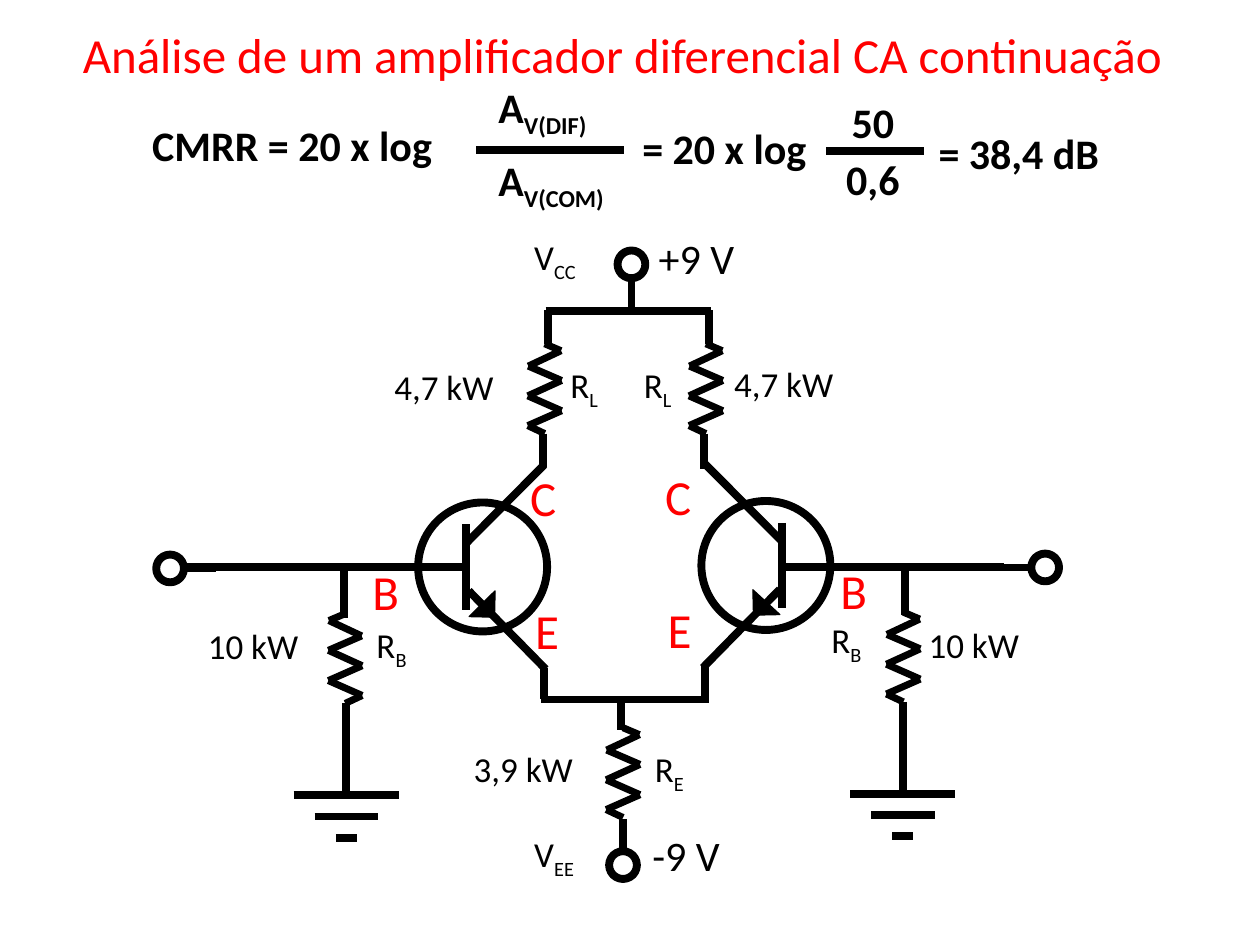
from itertools import pairwise

from lxml import etree
from pptx import Presentation
from pptx.dml.color import RGBColor
from pptx.enum.shapes import MSO_CONNECTOR, MSO_SHAPE
from pptx.enum.text import MSO_AUTO_SIZE
from pptx.oxml.ns import qn
from pptx.util import Cm, Pt

LINE = MSO_CONNECTOR.STRAIGHT
CIRCLE = MSO_SHAPE.OVAL
TRIANGLE = MSO_SHAPE.RIGHT_TRIANGLE
FIT = MSO_AUTO_SIZE.SHAPE_TO_FIT_TEXT

BLACK, RED = "000000", "FF0000"
FONT = "Calibri"
WIRE, COIL = 4.5, 4
SLACK = 0.08
ZIGZAG = [(0, 0), (0.33, 0.14), (-0.33, 0.45), (0.34, 0.74),
          (-0.34, 1.05), (0.34, 1.35), (-0.34, 1.65), (0, 1.81)]

WIRES = [
    (11, 6.27, 14.33, 6.27), (11.05, 6.25, 11.05, 6.93), (14.3, 6.25, 14.3, 6.93),
    (10.95, 8.74, 10.95, 9.42), (14.2, 8.74, 14.2, 9.45),
    (9.35, 11.43, 3.66, 11.43), (15.77, 11.43, 20.24, 11.43),
    (6.93, 12.45, 6.93, 11.48), (18.24, 12.4, 18.24, 11.46),
    (10.97, 13.46, 10.97, 14.1), (14.22, 13.41, 14.22, 14.05),
    (10.9, 14.1, 14.3, 14.1), (12.52, 14.71, 12.52, 14.12),
]
RESISTORS = [(10.98, 6.93, 1), (14.23, 6.93, 1), (12.56, 14.67, 1),
             (6.96, 12.37, -1), (18.21, 12.34, 1)]
TRANSISTORS = [(9.4, 11.43, 1, 271.3), (15.77, 11.4, -1, 358.7)]
GROUNDS = [(6.98, 16.03), (18.2, 16)]
TERMINALS = [(12.73, 5.33, 0, 1), (12.56, 17.44, 0, -1),
             (3.43, 11.46, 1, 0), (21.07, 11.44, -1, 0)]
FRACTION_BARS = [(9.6, 3.02, 12.57, 3.02), (16.66, 3.05, 18.62, 3.05)]

PINS = [("C", 10.44, 9.3, 1.02), ("B", 7.26, 11.2, 1.04), ("E", 10.54, 11.99, 0.99),
        ("C", 13.16, 9.27, 1.02), ("B", 16.69, 11.18, 1.04), ("E", 13.21, 11.96, 0.99)]
SUPPLIES = [("+9 V", 13.03, 4.57, 2.03), ("-9 V", 12.9, 16.59, 1.85)]
VALUES = [("3,9 kW", 9.3, 14.94, 2.51), ("4,7 kW", 14.55, 7.19, 2.51),
          ("4,7 kW", 7.7, 7.24, 2.51), ("10 kW", 18.47, 12.45, 2.34),
          ("10 kW", 3.94, 12.47, 2.34)]
NAMES = [("R", "E", 12.95, 14.94, 1.09), ("R", "L", 11.25, 7.21, 1.07),
         ("R", "B", 7.34, 12.45, 1.12), ("R", "B", 16.51, 12.34, 1.12),
         ("R", "L", 12.73, 7.21, 1.07), ("V", "EE", 10.52, 16.66, 1.3),
         ("V", "CC", 10.52, 4.62, 1.35)]
EQUATION = [("CMRR = 20 x log", 2.82, 2.29, 6.15), ("= 20 x log", 12.7, 2.34, 3.81),
            ("50", 16.92, 1.83, 1.37), ("0,6", 16.81, 2.97, 1.57),
            ("= 38,4 dB", 18.67, 2.44, 3.73)]
GAINS = [("A", "V(DIF)", 9.8, 1.52, 2.29), ("A", "V(COM)", 9.8, 3, 2.64)]


def color(value):
    """Return the colour for a hex string."""
    return RGBColor.from_string(value)


def add_line(s, x1, y1, x2, y2, width=WIRE):
    """Draw a black line between two points."""
    c = s.shapes.add_connector(LINE, Cm(x1), Cm(y1), Cm(x2), Cm(y2))
    c.line.width = Pt(width)
    c.line.color.rgb = color(BLACK)
    etree.SubElement(c._element.spPr, qn("a:effectLst"))


def add_circle(s, x, y, radius):
    """Draw an unfilled circle around a centre."""
    sp = s.shapes.add_shape(CIRCLE, Cm(x - radius), Cm(y - radius),
                            Cm(2 * radius), Cm(2 * radius))
    sp.shadow.inherit = False
    sp.fill.background()
    sp.line.width = Pt(WIRE)
    sp.line.color.rgb = color(BLACK)


def add_arrow_tip(s, x, y, angle):
    """Draw the solid emitter triangle around a centre."""
    w, h = 0.53, 0.51
    sp = s.shapes.add_shape(TRIANGLE, Cm(x - w / 2), Cm(y - h / 2), Cm(w), Cm(h))
    sp.rotation = angle
    sp.shadow.inherit = False
    sp.fill.solid()
    sp.fill.fore_color.rgb = color(BLACK)
    sp.line.width = Pt(0.75)
    sp.line.color.rgb = color(BLACK)


def add_resistor(s, x, y, side):
    """Draw a zigzag downwards, first bending to the given side."""
    for (x1, y1), (x2, y2) in pairwise(ZIGZAG):
        add_line(s, x + side * x1, y + y1, x + side * x2, y + y2, COIL)


def add_transistor(s, x, y, side, angle):
    """Draw an NPN transistor whose collector and emitter face one side."""
    add_line(s, x + side * 0.05, y + 0.48, x + side * 1.6, y + 2.06)
    add_arrow_tip(s, x + side * 0.32, y + 0.74, angle)
    add_line(s, x, y - 0.48, x + side * 1.57, y - 2.06)
    add_line(s, x, y - 0.86, x, y + 0.86)
    add_circle(s, x + side * 0.33, y, 1.3)


def add_ground(s, x, y):
    """Draw a ground symbol with its stem."""
    for i, half in enumerate((1.06, 0.64, 0.21)):
        add_line(s, x - half, y + i * 0.43, x + half, y + i * 0.43)
    add_line(s, x, y - 1.85, x, y)


def add_terminal(s, x, y, dx, dy):
    """Draw a terminal ring with a lead in the given direction."""
    add_line(s, x + 0.33 * dx, y + 0.33 * dy, x + 0.92 * dx, y + 0.92 * dy)
    add_circle(s, x, y, 0.28)


def add_label(s, text, x, y, width, size, sub="", hue=BLACK, bold=False):
    """Write one line of text, with an optional subscript."""
    height = size * 0.042 + 0.27 + (0.12 if sub else 0)
    box = s.shapes.add_textbox(Cm(x), Cm(y), Cm(width + SLACK), Cm(height))
    tf = box.text_frame
    tf.word_wrap = False
    tf.auto_size = FIT
    p = tf.paragraphs[0]
    for part in filter(None, (text, sub)):
        r = p.add_run()
        r.text = part
        r.font.name = FONT
        r.font.size = Pt(size)
        r.font.bold = bold
        r.font.color.rgb = color(hue)
    if sub:
        r._r.get_or_add_rPr().set("baseline", "-25000")


def add_circuit(s):
    """Draw the differential amplifier."""
    for wire in WIRES:
        add_line(s, *wire)
    for resistor in RESISTORS:
        add_resistor(s, *resistor)
    for transistor in TRANSISTORS:
        add_transistor(s, *transistor)
    for ground in GROUNDS:
        add_ground(s, *ground)
    for terminal in TERMINALS:
        add_terminal(s, *terminal)


def add_circuit_labels(s):
    """Label pins, supplies and components."""
    for pin in PINS:
        add_label(s, *pin, 28, hue=RED)
    for supply in SUPPLIES:
        add_label(s, *supply, 24)
    for value in VALUES:
        add_label(s, *value, 20)
    for text, sub, x, y, width in NAMES:
        add_label(s, text, x, y, width, 20, sub)


def add_equation(s):
    """Write the common-mode rejection formula."""
    for term in EQUATION:
        add_label(s, *term, 24, bold=True)
    for text, sub, x, y, width in GAINS:
        add_label(s, text, x, y, width, 24, sub, bold=True)
    for bar in FRACTION_BARS:
        add_line(s, *bar)


def main():
    """Build and save the slide."""
    prs = Presentation()
    prs.slide_width, prs.slide_height = Cm(25.4), Cm(19.05)
    s = prs.slides.add_slide(prs.slide_layouts[6])
    add_label(s, "Análise de um amplificador diferencial CA continuação",
              1.42, 0.36, 22.33, 28, hue=RED)
    add_circuit(s)
    add_circuit_labels(s)
    add_equation(s)
    prs.save("out.pptx")


if __name__ == "__main__":
    main()
